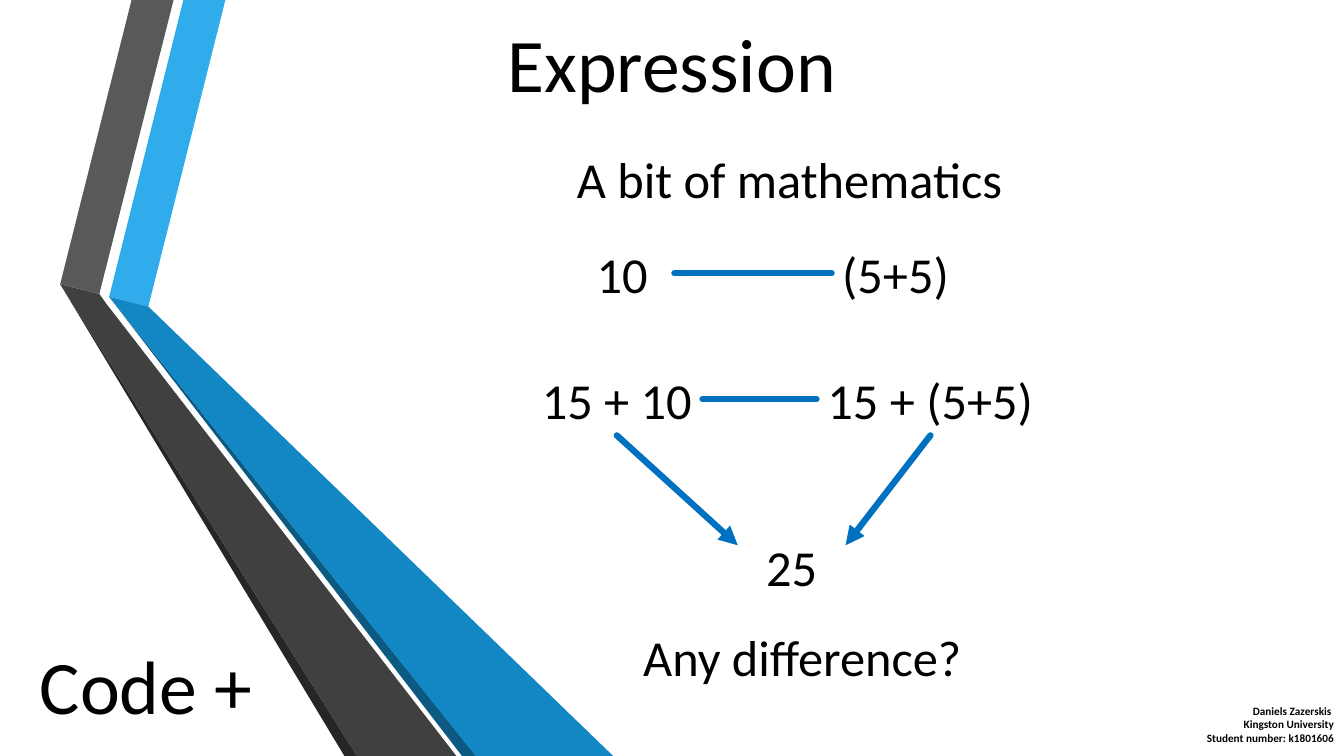
import pptx
import pptx.util
import pptx.dml.color
import pptx.enum.shapes
import pptx.enum.text
import pptx.oxml.ns
import lxml.etree

Pt = pptx.util.Pt
RGB = pptx.dml.color.RGBColor.from_string
ALIGN = pptx.enum.text.PP_ALIGN
qn = pptx.oxml.ns.qn

COLORS = {
    "text": "000000",
    "link": "0070C0",
    "blue_light": "30ACEC",
    "blue": "1287C3",
    "blue_dark": "0C5A82",
    "gray_light": "595959",
    "gray": "404040",
    "gray_dark": "262626",
}

deck = pptx.Presentation()
deck.slide_width = Pt(960)
deck.slide_height = Pt(540)
slide = deck.slides.add_slide(deck.slide_layouts[6])

ribbons = [
    ("blue_light", [(78, 211.7), (106, 219), (161.4, 0), (131, 0)]),
    ("gray_light", [(71.4, 210.3), (124.4, 0), (94.2, 0), (43.4, 203)]),
    ("gray_dark", [(43.4, 203), (245.5, 540), (255, 540)]),
    ("blue_dark", [(78, 211.7), (330.5, 540), (340.5, 540)]),
    ("blue", [(78, 211.7), (340.5, 540), (438, 540), (106, 219)]),
    ("gray", [(43.4, 203), (255, 540), (325.5, 540), (76.5, 216.7), (71.4, 210.3)]),
]
for color, corners in ribbons:
    outline = slide.shapes.build_freeform(*corners[0], scale=12700)
    outline.add_line_segments(corners[1:], close=True)
    ribbon = outline.convert_to_shape()
    ribbon.shadow.inherit = False
    ribbon.fill.solid()
    ribbon.fill.fore_color.rgb = RGB(COLORS[color])
    ribbon.line.fill.background()


def add_text(lines, left, top, width, height, size, align=ALIGN.CENTER, bold=False):
    frame = slide.shapes.add_textbox(Pt(left), Pt(top), Pt(width), Pt(height)).text_frame
    for index, line in enumerate(lines):
        paragraph = frame.add_paragraph() if index else frame.paragraphs[0]
        paragraph.alignment = align
        run = paragraph.add_run()
        run.text = line
        run.font.name = "Calibri"
        run.font.size = Pt(size)
        run.font.bold = bold
        run.font.color.rgb = RGB(COLORS["text"])
    return frame


headings = [("Code +", 20.2, 453, 168), ("Expression", 350.6, 8.6, 258.5)]
for heading, left, top, width in headings:
    add_text([heading], left, top, width, 72.7, 54).word_wrap = False

expressions = [
    ("A bit of mathematics", 403.2, 102.2, 321.8),
    ("10", 419, 170, 51),
    ("(5+5)", 594, 170, 91.4),
    ("15 + 10", 379.4, 260, 122.4),
    ("15 + (5+5)", 583.2, 260, 162.7),
    ("25", 540, 379.4, 51),
    ("Any difference?", 450.7, 443.5, 244.8),
]
for expression, left, top, width in expressions:
    add_text([expression], left, top, width, 51, 36).word_wrap = False

author_lines = ["Daniels Zazerskis ", "Kingston University", "Student number: k1801606"]
author = add_text(author_lines, 619.2, 494.6, 340.8, 45.4, 8, ALIGN.RIGHT, True)
author.word_wrap = True
author.vertical_anchor = pptx.enum.text.MSO_ANCHOR.MIDDLE

links = [
    (481.7, 195.2, 594, 195.2, False),
    (501.8, 285.2, 583.2, 285.2, False),
    (440.6, 311, 527, 389.5, True),
    (664.6, 311, 604, 389.5, True),
]
for x1, y1, x2, y2, has_arrow in links:
    link = slide.shapes.add_connector(
        pptx.enum.shapes.MSO_CONNECTOR.STRAIGHT, Pt(x1), Pt(y1), Pt(x2), Pt(y2))
    link.line.color.rgb = RGB(COLORS["link"])
    link.line.width = Pt(4.5)
    stroke = link.line._get_or_add_ln()
    stroke.set("cap", "rnd")
    lxml.etree.SubElement(stroke, qn("a:round"))
    if has_arrow:
        lxml.etree.SubElement(stroke, qn("a:tailEnd"), type="triangle")
    lxml.etree.SubElement(link._element.spPr, qn("a:effectLst"))

deck.save("out.pptx")
